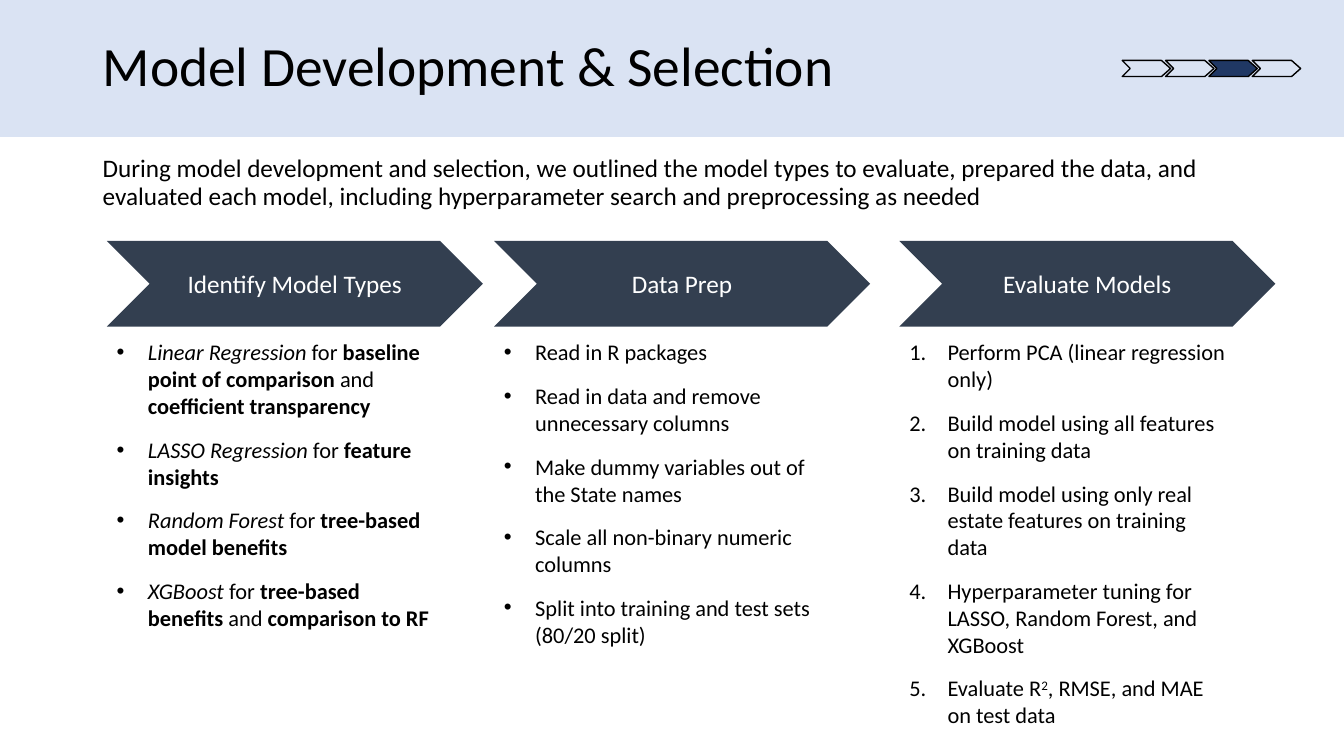
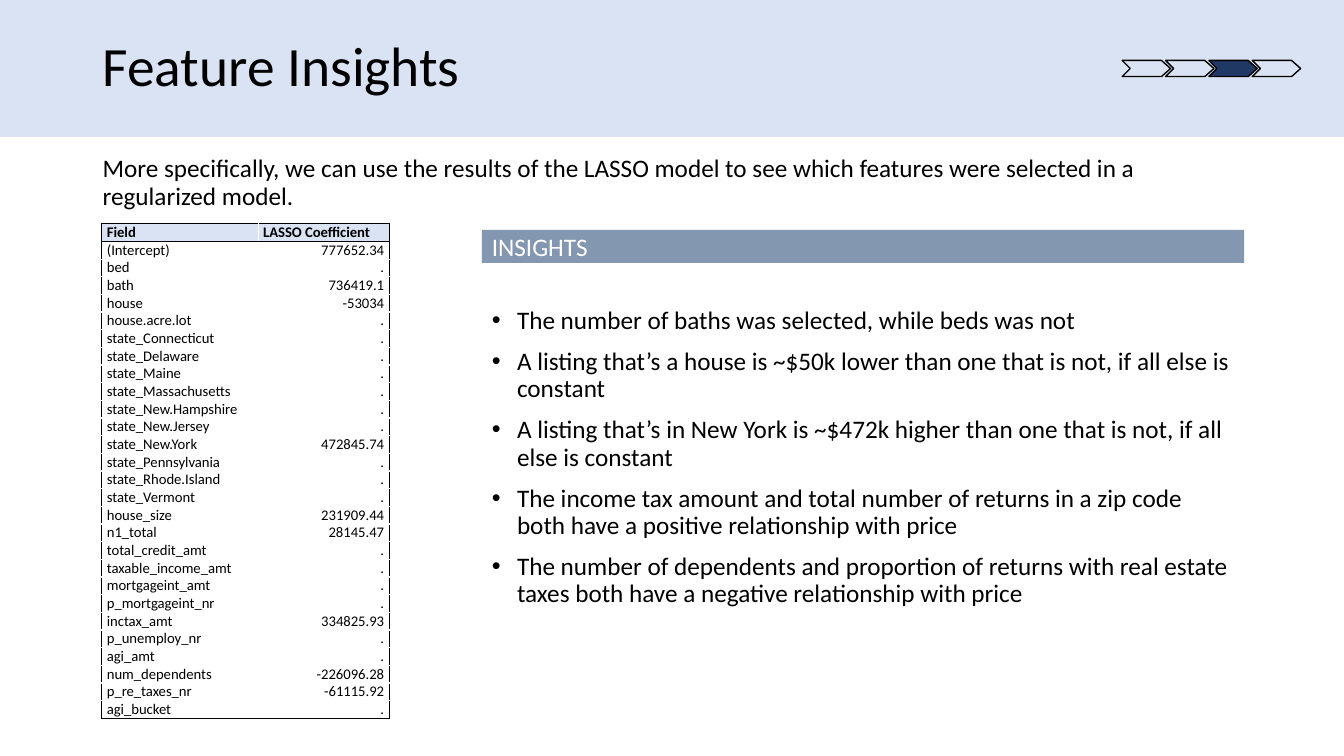
from lxml.etree import SubElement
from pptx import Presentation
from pptx.dml.color import RGBColor
from pptx.enum.shapes import MSO_SHAPE as SHAPE
from pptx.enum.text import MSO_ANCHOR as ANCHOR, PP_ALIGN as ALIGN
from pptx.oxml.ns import qn
from pptx.util import Inches, Pt

FONT = "Calibri"
COLORS = {
    "text": "000000",
    "white": "FFFFFF",
    "band": "DAE3F3",
    "current": "203864",
    "step": "333F50",
    "heading": "8497B0",
}
STAGES, CURRENT_STAGE = 4, 2
INTRO = {"line_spacing": 0.9, "space_before": Pt(10)}
STEP_ITEM = {"space_after": Pt(12)}

STEPS = [
    (1.06, "Identify Model Types", "bullet", 0.31, [
        [("Linear Regression", "i"), (" for ", ""),
         ("baseline point of comparison ", "b"), ("and ", ""),
         ("coefficient transparency", "b")],
        [("LASSO Regression ", "i"), ("for ", ""), ("feature insights", "b")],
        [("Random Forest ", "i"), ("for ", ""), ("tree-based model benefits", "b")],
        [("XGBoost", "i"), (" for ", ""), ("tree-based benefits ", "b"),
         ("and ", ""), ("comparison to RF", "b")],
    ]),
    (4.9, "Data Prep", "bullet", 0.31, [
        "Read in R packages",
        "Read in data and remove unnecessary columns",
        "Make dummy variables out of the State names",
        "Scale all non-binary numeric columns",
        "Split into training and test sets (80/20 split)",
    ]),
    (8.92, "Evaluate Models", "number", 0.38, [
        "Perform PCA (linear regression only)",
        "Build model using all features on training data",
        "Build model using only real estate features on training data",
        "Hyperparameter tuning for LASSO, Random Forest, and XGBoost",
        [("Evaluate R", ""), ("2", "sup"), (", RMSE, and MAE on test data", "")],
    ]),
]

FIELDS = [
    "(Intercept)", "bed", "bath", "house", "house.acre.lot",
    "state_Connecticut", "state_Delaware", "state_Maine",
    "state_Massachusetts", "state_New.Hampshire", "state_New.Jersey",
    "state_New.York", "state_Pennsylvania", "state_Rhode.Island",
    "state_Vermont", "house_size", "n1_total", "total_credit_amt",
    "taxable_income_amt", "mortgageint_amt", "p_mortgageint_nr",
    "inctax_amt", "p_unemploy_nr", "agi_amt", "num_dependents",
    "p_re_taxes_nr", "agi_bucket",
]
SELECTED = {
    "(Intercept)": "777652.34",
    "bath": "736419.1",
    "house": "-53034",
    "state_New.York": "472845.74",
    "house_size": "231909.44",
    "n1_total": "28145.47",
    "inctax_amt": "334825.93",
    "num_dependents": "-226096.28",
    "p_re_taxes_nr": "-61115.92",
}
INSIGHTS = [
    "The number of baths was selected, while beds was not",
    "A listing that’s a house is ~$50k lower than one that is not, if all else is constant",
    "A listing that’s in New York is ~$472k higher than one that is not, if all else is constant",
    "The income tax amount and total number of returns in a zip code both have "
    "a positive relationship with price",
    "The number of dependents and proportion of returns with real estate taxes "
    "both have a negative relationship with price",
]


def rgb(name):
    return RGBColor.from_string(COLORS[name])


def apply(target, values):
    for name, value in values.items():
        setattr(target, name, value)


def add_run(p, text, size, color="text", style=""):
    r = p.add_run()
    r.text = text
    apply(r.font, {"name": FONT, "size": Pt(size),
                   "bold": style == "b", "italic": style == "i"})
    r.font.color.rgb = rgb(color)
    if style == "sup":
        r.font._element.set("baseline", "30000")


def add_marker(p, kind, indent):
    pPr = p._p.get_or_add_pPr()
    pPr.set("marL", str(Inches(indent)))
    pPr.set("indent", str(-Inches(indent)))
    if kind == "number":
        SubElement(pPr, qn("a:buAutoNum"), type="arabicPeriod")
    else:
        SubElement(pPr, qn("a:buFont"), typeface="Arial")
        SubElement(pPr, qn("a:buChar"), char="•")


def add_text(s, box, items, size, spacing, marker=None, anchor=ANCHOR.TOP):
    tf = s.shapes.add_textbox(*map(Inches, box)).text_frame
    apply(tf, {"word_wrap": True, "vertical_anchor": anchor})
    for i, item in enumerate(items):
        p = tf.add_paragraph() if i else tf.paragraphs[0]
        apply(p, spacing)
        if marker:
            add_marker(p, *marker)
        for text, style in [(item, "")] if isinstance(item, str) else item:
            add_run(p, text, size, style=style)


def add_block(s, kind, box, fill, label="", align=ALIGN.LEFT):
    sp = s.shapes.add_shape(kind, *map(Inches, box))
    sp.shadow.inherit = False
    sp.fill.solid()
    sp.fill.fore_color.rgb = rgb(fill)
    sp.line.fill.background()
    if label:
        tf = sp.text_frame
        apply(tf, {"word_wrap": True, "vertical_anchor": ANCHOR.MIDDLE})
        p = tf.paragraphs[0]
        p.alignment = align
        add_run(p, label, 18, "white")


def add_tracker(s):
    group = s.shapes.add_group_shape()
    outline = [(0.39, 0), (0.48, 0.08), (0.39, 0.16), (0, 0.16), (0.08, 0.08)]
    for i in range(STAGES):
        left, top = 11.13 + 0.43 * i, 0.6
        builder = group.shapes.build_freeform(Inches(left), Inches(top))
        builder.add_line_segments(
            [(Inches(left + x), Inches(top + y)) for x, y in outline], close=True)
        sp = builder.convert_to_shape()
        sp.shadow.inherit = False
        sp.fill.solid()
        sp.fill.fore_color.rgb = rgb("current" if i == CURRENT_STAGE else "band")
        sp.line.color.rgb = rgb("text")
        sp.line.width = Pt(1)


def add_base(prs, title, intro):
    s = prs.slides.add_slide(prs.slide_layouts[6])
    add_block(s, SHAPE.RECTANGLE, (0, 0, 13.33, 1.36), "band")
    add_text(s, (0.92, 0.32, 11.5, 0.72), [title], 39.6,
             {"line_spacing": 0.9}, anchor=ANCHOR.MIDDLE)
    add_text(s, (0.92, 1.5, 11.5, 0.72), [intro], 18, INTRO)
    add_tracker(s)
    return s


def set_borders(cell, dark_sides):
    tcPr = cell._tc.get_or_add_tcPr()
    for side in "LRTB":
        ln = SubElement(tcPr, qn(f"a:ln{side}"), w=str(Pt(1)))
        fill = SubElement(ln, qn("a:solidFill"))
        color = COLORS["text" if side in dark_sides else "white"]
        SubElement(fill, qn("a:srgbClr"), val=color)


def add_coefficients(s, box):
    rows = [("Field", "LASSO Coefficient")]
    rows += [(field, SELECTED.get(field, ".")) for field in FIELDS]
    table = s.shapes.add_table(len(rows), 2, *map(Inches, box)).table
    apply(table, {"first_row": False, "horz_banding": False})
    for column, width in zip(table.columns, (1.55, 1.3)):
        column.width = Inches(width)
    for i, row in enumerate(rows):
        for j, text in enumerate(row):
            cell = table.cell(i, j)
            apply(cell, {"margin_left": Inches(0.05), "margin_right": Inches(0.05),
                         "margin_top": 0, "margin_bottom": 0,
                         "vertical_anchor": ANCHOR.BOTTOM})
            top = "T" if i <= 1 else ""
            bottom = "B" if i in (0, len(rows) - 1) else ""
            set_borders(cell, "LR"[j] + top + bottom)
            if i == 0:
                cell.fill.solid()
                cell.fill.fore_color.rgb = rgb("band")
            else:
                cell.fill.background()
            p = cell.text_frame.paragraphs[0]
            p.alignment = ALIGN.RIGHT if i and j else ALIGN.LEFT
            add_run(p, text, 10.5, style="" if i else "b")


def model_slide(prs):
    s = add_base(
        prs, "Model Development & Selection",
        "During model development and selection, we outlined the model types to "
        "evaluate, prepared the data, and evaluated each model, including "
        "hyperparameter search and preprocessing as needed")
    for left, label, kind, indent, items in STEPS:
        add_block(s, SHAPE.CHEVRON, (left, 2.39, 3.73, 0.85), "step", label, ALIGN.CENTER)
        add_text(s, (left, 3.31, 3.34, 4.01), items, 16, STEP_ITEM, (kind, indent))


def insights_slide(prs):
    s = add_base(
        prs, "Feature Insights",
        "More specifically, we can use the results of the LASSO model to see "
        "which features were selected in a regularized model.")
    add_coefficients(s, (1.01, 2.22, 2.85, 4.9))
    add_block(s, SHAPE.RECTANGLE, (4.78, 2.28, 7.56, 0.33), "heading", "INSIGHTS")
    add_text(s, (4.78, 3, 7.56, 3.57), INSIGHTS, 18, INTRO, ("bullet", 0.25))


def main():
    prs = Presentation()
    apply(prs, {"slide_width": Inches(13.33), "slide_height": Inches(7.5)})
    model_slide(prs)
    insights_slide(prs)
    prs.save("out.pptx")


main()
